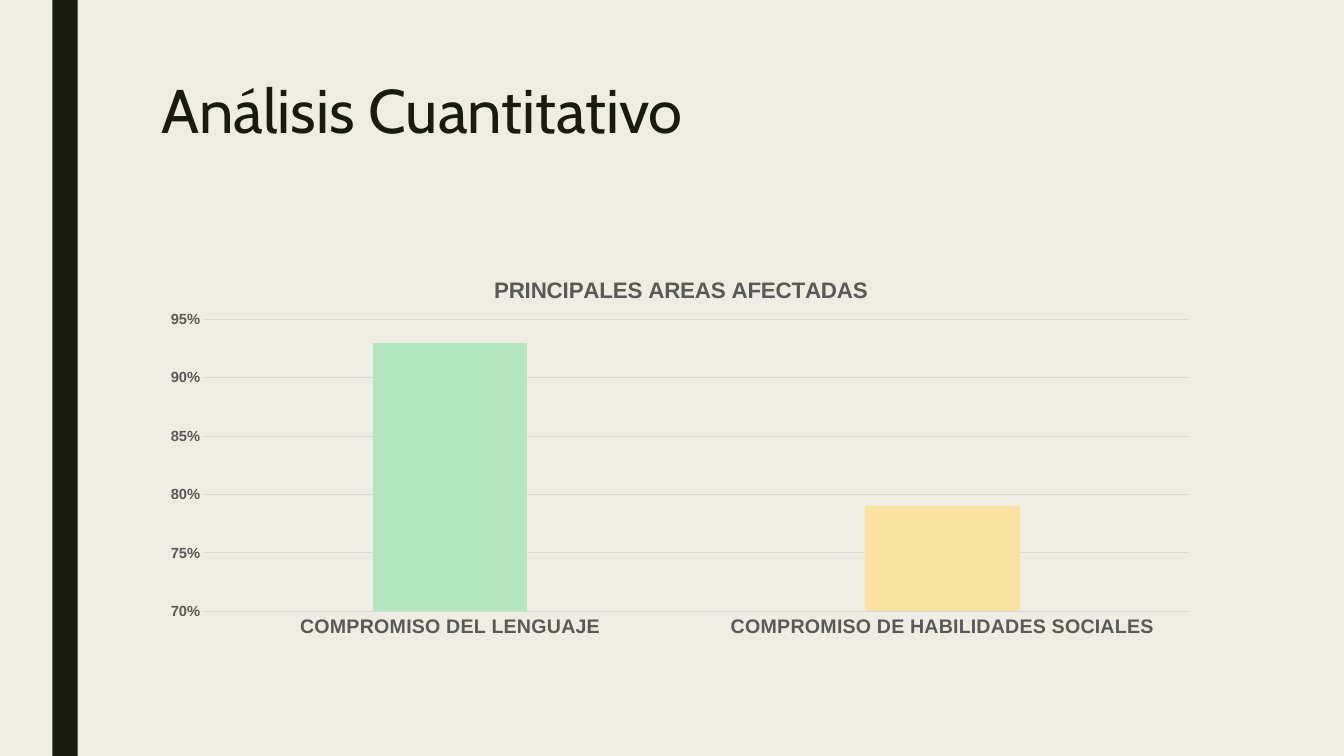
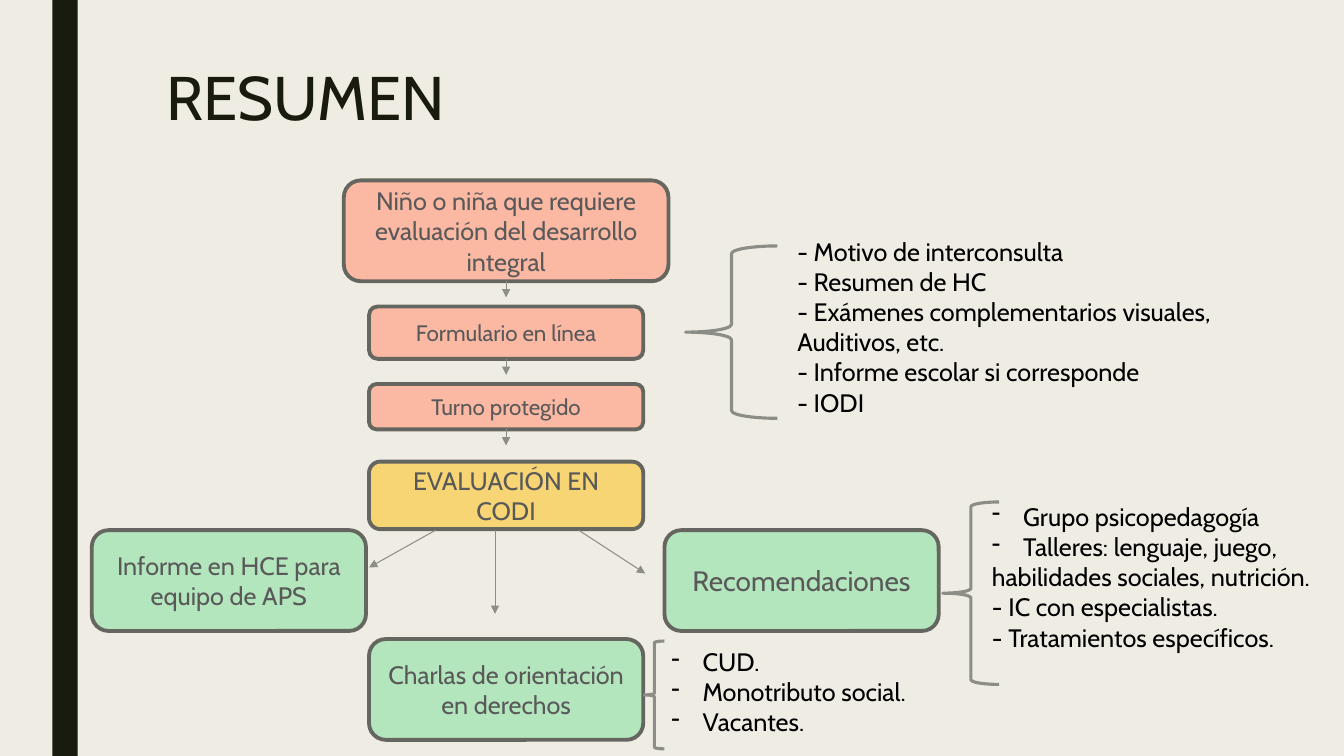
import pptx
import pptx.util
import pptx.chart.data
import pptx.dml.color
import pptx.enum.chart
import pptx.enum.shapes
import pptx.enum.text
import pptx.oxml.ns
from lxml import etree

Inches, Pt = pptx.util.Inches, pptx.util.Pt
SHAPE = pptx.enum.shapes.MSO_SHAPE
ALIGN = pptx.enum.text.PP_ALIGN
ANCHOR = pptx.enum.text.MSO_ANCHOR
qn = pptx.oxml.ns.qn

WIDTH, HEIGHT = 13.33, 7.5
FONT, CHART_FONT = "Cabin", "Arial"
COLORS = {
    "paper": "EFEDE3", "ink": "191B0E", "black": "000000", "label": "595959",
    "coral": "FBB8A3", "gold": "F8D574", "mint": "B4E6BE", "cream": "FAE2A0",
    "border": "666661", "link": "8C8D86", "grid": "D9D9D9",
}

AREAS_TITLE = "PRINCIPALES AREAS AFECTADAS"
AREAS = [
    ("COMPROMISO DEL LENGUAJE", 0.93, "mint"),
    ("COMPROMISO DE HABILIDADES SOCIALES", 0.79, "cream"),
]

BOX_WIDTH, OUTCOME_HEIGHT = 2.72, 1
LEFT, CENTER, RIGHT = 0.91, 3.66, 6.59
AXIS = CENTER + BOX_WIDTH / 2
STEPS = [
    ("Niño o niña que requiere evaluación del desarrollo integral", 1.79, 3.22, 1, "coral", 18),
    ("Formulario en línea", 3.04, BOX_WIDTH, 0.52, "coral", 16),
    ("Turno protegido", 3.81, BOX_WIDTH, 0.45, "coral", 16),
    ("EVALUACIÓN EN CODI", 4.58, BOX_WIDTH, 0.67, "gold", 18),
]
OUTCOMES = [
    ("Informe en HCE para equipo de APS", LEFT, 5.26, 18),
    ("Charlas de orientación en derechos", CENTER, 6.34, 18),
    ("Recomendaciones", RIGHT, 5.26, 20),
]
BRANCHES = [(4.32, 3.66, 5.63), (4.91, 4.91, 6.09), (5.74, 6.4, 5.69)]
NOTES = [
    {"brace": (6.8, 2.44, 0.91, 1.71), "area": (7.81, 2.29, 4.8, 1.92), "bulleted": 0,
     "lines": ["- Motivo de interconsulta", "- Resumen de HC",
               "- Exámenes complementarios visuales,", "Auditivos, etc.",
               "- Informe escolar si corresponde", "- IODI"]},
    {"brace": (9.35, 4.98, 0.56, 1.81), "area": (9.74, 4.92, 3.49, 1.62), "bulleted": 2,
     "lines": ["Grupo psicopedagogía", "Talleres: lenguaje, juego,",
               "habilidades sociales, nutrición.", "- IC con especialistas.",
               "- Tratamientos específicos."]},
    {"brace": (6.39, 6.36, 0.2, 1.07), "area": (6.56, 6.36, 2.95, 1.01), "bulleted": 3,
     "lines": ["CUD.", "Monotributo social.", "Vacantes."]},
]


def rgb(name):
    return pptx.dml.color.RGBColor.from_string(COLORS[name])


def inches(*lengths):
    return [Inches(length) for length in lengths]


def style_font(font, size, color, face=FONT, bold=False):
    font.size, font.name, font.bold = Pt(size), face, bold
    font.color.rgb = rgb(color)


def write_text(frame, lines, size=18, color="black", align=ALIGN.LEFT,
               anchor=ANCHOR.TOP, spacing=1, bulleted=0):
    frame.word_wrap = True
    frame.auto_size = pptx.enum.text.MSO_AUTO_SIZE.NONE
    frame.vertical_anchor = anchor
    for index, line in enumerate(lines):
        paragraph = frame.add_paragraph() if index else frame.paragraphs[0]
        paragraph.alignment, paragraph.line_spacing = align, spacing
        if index < bulleted:
            properties = paragraph._p.get_or_add_pPr()
            properties.set("marL", str(Inches(0.31)))
            properties.set("indent", str(-Inches(0.31)))
            etree.SubElement(properties, qn("a:buChar")).set("char", "-")
        run = paragraph.add_run()
        run.text = line
        style_font(run.font, size, color)


def add_outline(slide, kind, area, fill=None, line=None, weight=2.25):
    outline = slide.shapes.add_shape(kind, *inches(*area))
    outline.shadow.inherit = False
    if fill:
        outline.fill.solid()
        outline.fill.fore_color.rgb = rgb(fill)
    else:
        outline.fill.background()
    if line:
        outline.line.color.rgb = rgb(line)
        outline.line.width = Pt(weight)
    else:
        outline.line.fill.background()
    return outline


def add_box(slide, text, area, fill, size):
    box = add_outline(slide, SHAPE.ROUNDED_RECTANGLE, area, fill, "border", 2.75)
    write_text(box.text_frame, [text], size, "label", ALIGN.CENTER, ANCHOR.MIDDLE)


def add_arrow(slide, start, end):
    arrow = slide.shapes.add_connector(
        pptx.enum.shapes.MSO_CONNECTOR.STRAIGHT, *inches(*start, *end))
    arrow.line.color.rgb = rgb("link")
    arrow.line.width = Pt(0.75)
    etree.SubElement(arrow.line._get_or_add_ln(), qn("a:tailEnd")).set("type", "triangle")
    etree.SubElement(arrow._element.spPr, qn("a:effectLst"))


def add_slide(deck, title, area):
    slide = deck.slides.add_slide(deck.slide_layouts[5])
    heading = slide.shapes.title
    heading.left, heading.top, heading.width, heading.height = inches(*area)
    write_text(heading.text_frame, [title], 44, "ink", spacing=0.89)
    return slide


def style_master(master, slide):
    master.background.fill.solid()
    master.background.fill.fore_color.rgb = rgb("paper")
    band = add_outline(slide, SHAPE.RECTANGLE, (0.52, 0, 0.25, HEIGHT), "ink")
    band._element.nvSpPr.cNvPr.set("id", "90")
    master.shapes._spTree.insert(2, band._element)


def place_part(element, index, **shares):
    layout = element.find(qn("c:layout"))
    if layout is None:
        layout = element.makeelement(qn("c:layout"))
        element.insert(index, layout)
    manual = etree.SubElement(layout, qn("c:manualLayout"))
    if "w" in shares:
        etree.SubElement(manual, qn("c:layoutTarget")).set("val", "inner")
    for side in "xy":
        etree.SubElement(manual, qn(f"c:{side}Mode")).set("val", "edge")
    for side, share in shares.items():
        etree.SubElement(manual, qn(f"c:{side}")).set("val", str(share))


def add_areas_chart(slide):
    data = pptx.chart.data.CategoryChartData(number_format="0%")
    data.categories = [name for name, _, _ in AREAS]
    data.add_series("Series 1", [value for _, value, _ in AREAS])
    chart = slide.shapes.add_chart(
        pptx.enum.chart.XL_CHART_TYPE.COLUMN_CLUSTERED,
        *inches(1.5, 2.5, 10.5, 3.92), data).chart
    style_font(chart.font, 10, "black", CHART_FONT)
    chart.has_legend = False
    chart.has_title = True
    title = chart.chart_title
    title.text_frame.text = AREAS_TITLE
    style_font(title.text_frame.paragraphs[0].runs[0].font, 16, "label", CHART_FONT, True)
    place_part(title._element, 1, x=0.32, y=0.05)
    place_part(chart._chartSpace.chart.plotArea, 0, x=0.05, y=0.17, w=0.93, h=0.74)

    plot = chart.plots[0]
    plot.vary_by_categories = False
    plot.gap_width, plot.overlap = 219, -27
    for index, (_, _, color) in enumerate(AREAS):
        fill = plot.series[0].points[index].format.fill
        fill.solid()
        fill.fore_color.rgb = rgb(color)

    for axis, size in ((chart.category_axis, 14), (chart.value_axis, 10.5)):
        axis.major_tick_mark = axis.minor_tick_mark = pptx.enum.chart.XL_TICK_MARK.NONE
        style_font(axis.tick_labels.font, size, "label", CHART_FONT, True)
    values = chart.value_axis
    values.minimum_scale, values.maximum_scale, values.major_unit = 0.7, 0.95, 0.05
    values.tick_labels.number_format = "0%"
    values.tick_labels.number_format_is_linked = False
    values.format.line.fill.background()
    for line in (values.major_gridlines.format.line, chart.category_axis.format.line):
        line.color.rgb = rgb("grid")
        line.width = Pt(0.75)


def add_flow(slide):
    for text, top, width, height, color, size in STEPS:
        add_box(slide, text, (AXIS - width / 2, top, width, height), color, size)
    for text, left, top, size in OUTCOMES:
        add_box(slide, text, (left, top, BOX_WIDTH, OUTCOME_HEIGHT), "mint", size)
    for note in NOTES:
        add_outline(slide, SHAPE.LEFT_BRACE, note["brace"], line="link")
        area = slide.shapes.add_textbox(*inches(*note["area"]))
        write_text(area.text_frame, note["lines"], bulleted=note["bulleted"])
    for _, top, _, height, _, _ in STEPS[:-1]:
        add_arrow(slide, (AXIS, top + height), (AXIS, top + height + 0.16))
    for start, end, bottom in BRANCHES:
        add_arrow(slide, (start, 5.26), (end, bottom))


def main():
    deck = pptx.Presentation()
    deck.slide_width, deck.slide_height = inches(WIDTH, HEIGHT)
    analysis = add_slide(deck, "Análisis Cuantitativo", (1.5, 0.75, 10.5, 1.62))
    style_master(deck.slide_master, analysis)
    add_areas_chart(analysis)
    summary = add_slide(deck, "RESUMEN", (1.55, 0.62, 10.5, 0.77))
    add_flow(summary)
    deck.save("out.pptx")


if __name__ == "__main__":
    main()
